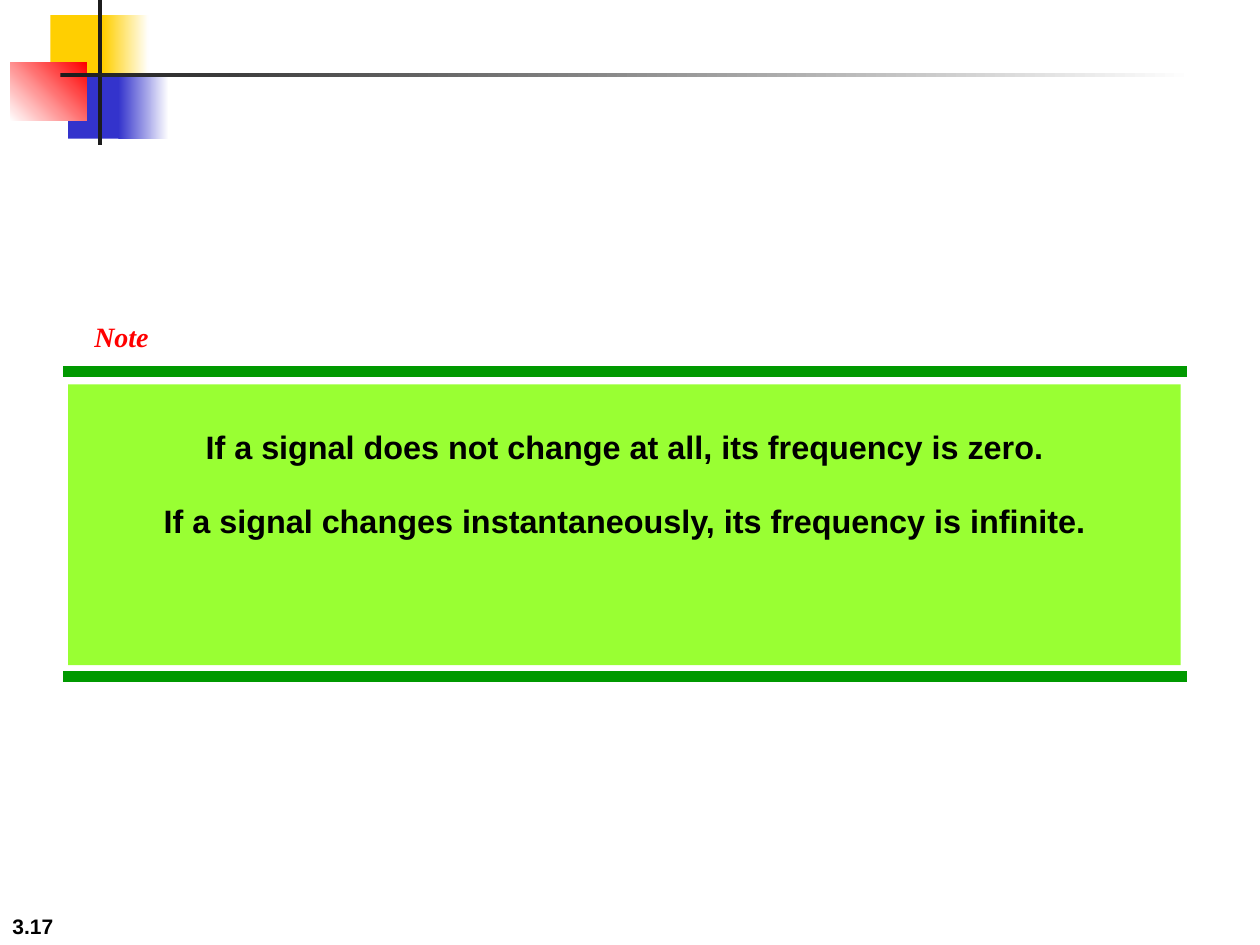
from lxml import etree
from pptx import Presentation
from pptx import util as u
from pptx.dml.color import RGBColor
from pptx.enum import shapes, text
from pptx.oxml.ns import qn

theme = {
    "white": "FFFFFF", "black": "000000", "ink": "1C1C1C", "yellow": "FFCF01",
    "blue": "3333CC", "red": "FF0000", "rule": "009900", "panel": "99FF33",
    "number": {"name": "Arial", "size": u.Pt(12), "bold": True},
    "statement": {"name": "Arial", "size": u.Pt(18.5), "bold": True},
    "label": {"name": "Times New Roman", "size": u.Pt(16), "bold": True, "italic": True},
}


def add_block(box, colors, angle=0):
    """Add a borderless rectangle, solid for one colour, graded for two."""
    block = slide.shapes.add_shape(
        shapes.MSO_SHAPE.RECTANGLE, *[u.Inches(v) for v in box])
    block.shadow.inherit = False
    block.line.fill.background()
    if len(colors) == 1:
        block.fill.solid()
        block.fill.fore_color.rgb = RGBColor.from_string(theme[colors[0]])
    else:
        block.fill.gradient()
        block.fill.gradient_angle = angle
        for stop, color in zip(block.fill.gradient_stops, colors):
            stop.color.rgb = RGBColor.from_string(theme[color])
    return block


def write(frame, lines, style, color, frame_format, paragraph_format):
    """Fill a text frame with one paragraph per line."""
    for name, value in frame_format.items():
        setattr(frame, name, value)
    for i, line in enumerate(lines):
        paragraph = frame.paragraphs[0] if i == 0 else frame.add_paragraph()
        paragraph.text = line
        for name, value in paragraph_format.items():
            setattr(paragraph, name, value)
        if i == 0:
            paragraph.space_before = u.Pt(0)
        for name, value in theme[style].items():
            setattr(paragraph.font, name, value)
        paragraph.font.color.rgb = RGBColor.from_string(theme[color])


presentation = Presentation()
presentation.slide_width = u.Inches(10)
presentation.slide_height = u.Inches(7.5)
slide = presentation.slides.add_slide(presentation.slide_layouts[6])

# Page number
page_number = slide.shapes.add_textbox(
    u.Inches(0), u.Inches(7), u.Inches(2.08), u.Inches(0.5))
write(page_number.text_frame, ["3.17"], "number", "black",
      {"word_wrap": True, "vertical_anchor": text.MSO_ANCHOR.BOTTOM}, {})

# Corner ornament: coloured squares, then the crossing bars
for box, colors, angle in [
    ((0.4, 0.12, 0.48, 0.52), ["yellow"], 0),
    ((0.82, 0.12, 0.36, 0.52), ["yellow", "white"], 0),
    ((0.54, 0.58, 0.46, 0.52), ["blue"], 0),
    ((0.94, 0.58, 0.4, 0.52), ["blue", "white"], 0),
    ((0.08, 0.5, 0.61, 0.46), ["white", "red"], 45),
    ((0.78, 0, 0.03, 1.15), ["ink"], 0),
    ((0.48, 0.58, 9, 0.03), ["ink", "white"], 0),
]:
    add_block(box, colors, angle)

# Rules above and below the statement
for y in (2.95, 5.37):
    rule = slide.shapes.add_connector(
        shapes.MSO_CONNECTOR.STRAIGHT,
        u.Inches(0.5), u.Inches(y), u.Inches(9.42), u.Inches(y))
    rule.line.width = u.Pt(6)
    rule.line.color.rgb = RGBColor.from_string(theme["rule"])
    etree.SubElement(rule._element.spPr, qn("a:effectLst"))

# Statement panel
statement = add_block((0.54, 3.05, 8.83, 2.23), ["panel"])
write(statement.text_frame,
      ["If a signal does not change at all, its frequency is zero.",
       "If a signal changes instantaneously, its frequency is infinite."],
      "statement", "black",
      {"word_wrap": True, "vertical_anchor": text.MSO_ANCHOR.TOP,
       "margin_top": u.Inches(0.34)},
      {"alignment": text.PP_ALIGN.CENTER, "space_before": u.Pt(20)})

# Note label
note = slide.shapes.add_textbox(
    u.Inches(0.65), u.Inches(2.25), u.Inches(0.96), u.Inches(0.57))
write(note.text_frame, ["Note"], "label", "red",
      {"word_wrap": False, "vertical_anchor": text.MSO_ANCHOR.TOP,
       "margin_top": u.Inches(0.31), "margin_bottom": u.Inches(0)},
      {"alignment": text.PP_ALIGN.LEFT})

presentation.save("out.pptx")
